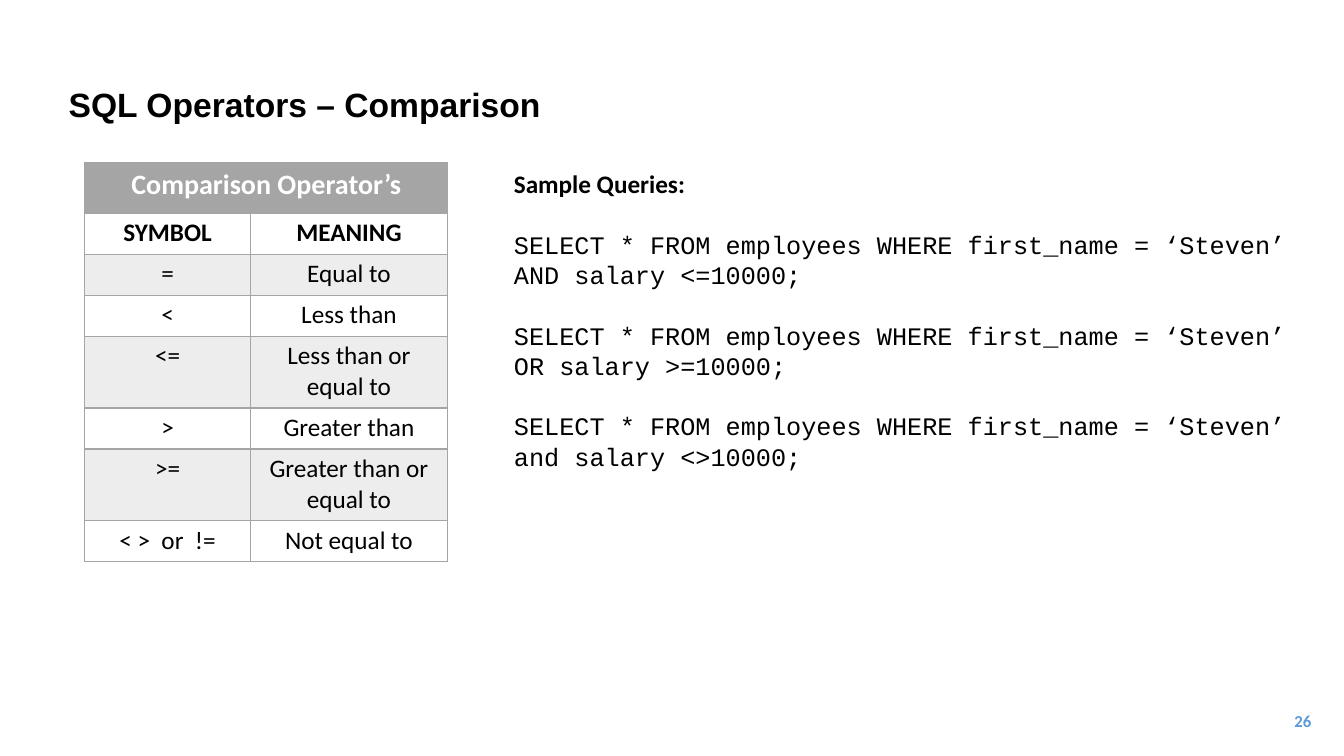
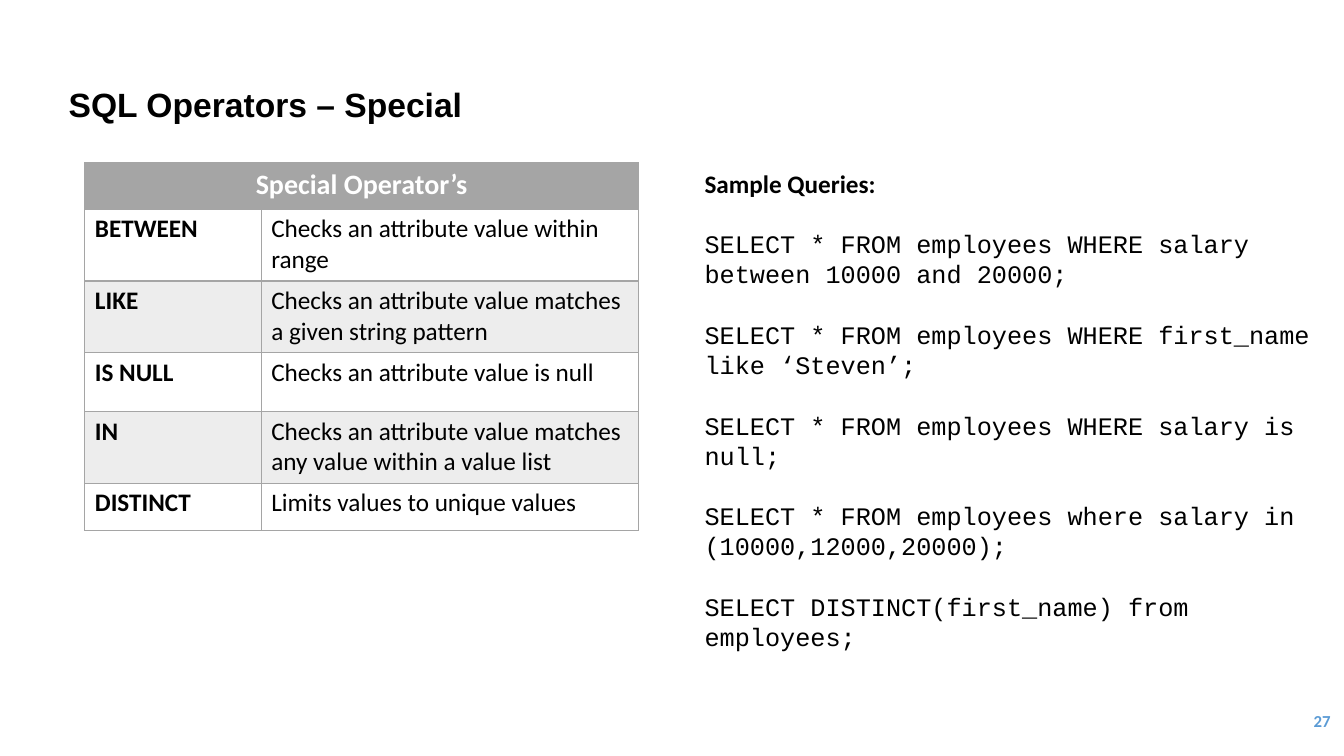
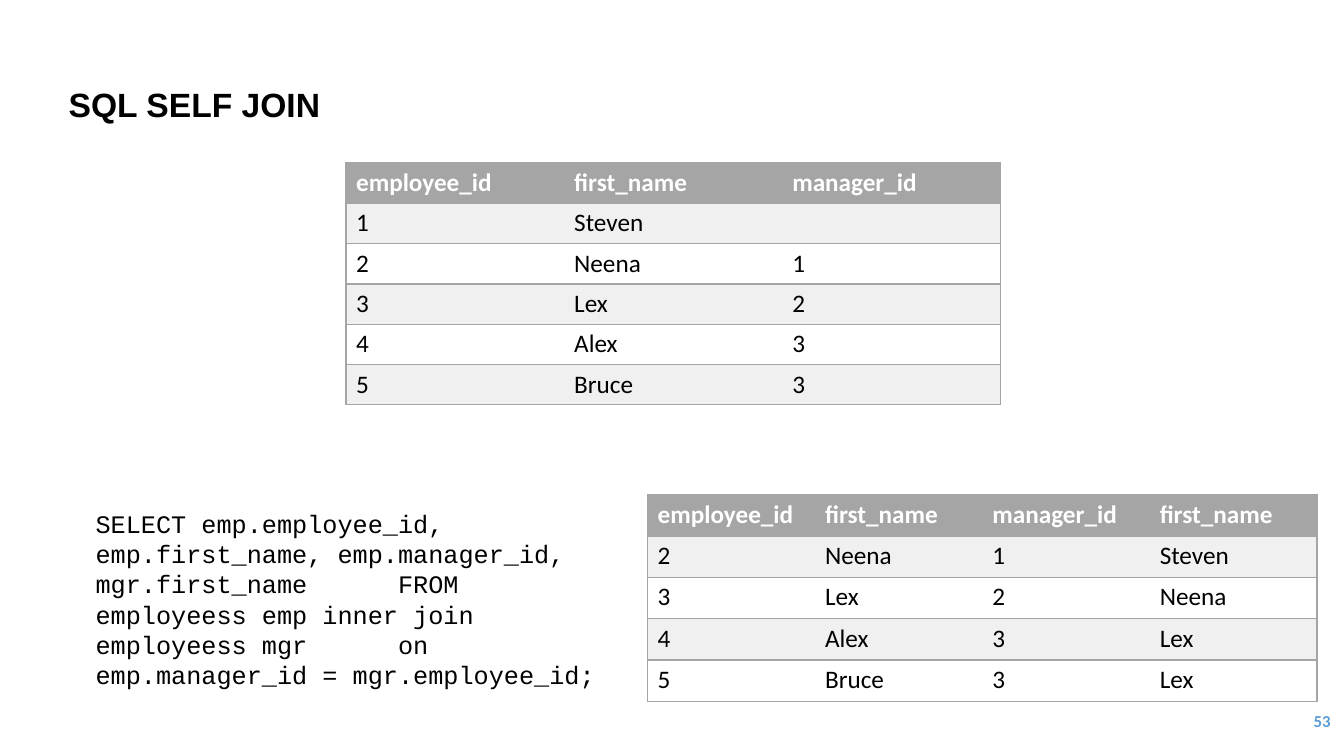
import pptx
import pptx.util
import pptx.dml.color
import pptx.enum.text
import pptx.oxml
import pptx.oxml.ns

COLORS = {"black": "000000", "white": "FFFFFF", "gray": "A5A5A5",
          "band": "EDEDED", "stripe": "F0F0F0", "blue": "5B9BD5"}
FORMATS = {
    "title": {"name": "Arial", "size": 24, "bold": True, "color": "black"},
    "number": {"name": "Calibri", "size": 12, "bold": True, "color": "blue"},
    "banner": {"name": "Calibri", "size": 20, "bold": True, "color": "white"},
    "head": {"name": "Calibri", "size": 18, "bold": True, "color": "white"},
    "strong": {"name": "Calibri", "size": 18, "bold": True, "color": "black"},
    "body": {"name": "Calibri", "size": 18, "bold": False, "color": "black"},
    "code": {"name": "Courier New", "size": 18, "bold": False, "color": "black"},
}
ALIGN = pptx.enum.text.PP_ALIGN
ANCHOR = pptx.enum.text.MSO_ANCHOR
GRID_COLUMNS, GRID_ROWS = 160, 90
CONTENT_LEFT, CONTENT_TOP = 10.1, 19.4
LINE_HEIGHT = 21.6
TABLE_ROW, TWO_LINE_ROW = 4.88, 8.55


class Lesson:
    """Holds the style and the current slide; lengths are grid units."""

    def __init__(self):
        self.deck = pptx.Presentation()
        self.deck.slide_width = pptx.util.Inches(13.33)
        self.deck.slide_height = pptx.util.Inches(7.5)
        self.page = None

    def across(self, columns):
        return round(self.deck.slide_width * columns / GRID_COLUMNS)

    def down(self, rows):
        return round(self.deck.slide_height * rows / GRID_ROWS)

    def frame(self, left, top, width, height):
        return (self.across(left), self.down(top),
                self.across(width), self.down(height))

    def add_span(self, para, text, style, **layout):
        """Put one formatted span into a paragraph."""
        for key, value in layout.items():
            setattr(para, key, value)
        span = para.add_run()
        span.text = text
        values = dict(FORMATS[style])
        color = COLORS[values.pop("color")]
        values["size"] = pptx.util.Pt(values["size"])
        for key, value in values.items():
            setattr(span.font, key, value)
        span.font.color.rgb = pptx.dml.color.RGBColor.from_string(color)

    def text_box(self, place, anchor=ANCHOR.TOP):
        box = self.page.shapes.add_textbox(*self.frame(*place))
        box.text_frame.word_wrap = True
        box.text_frame.vertical_anchor = anchor
        return box.text_frame

    def new_page(self, title, number, number_left=139.6):
        """Start a slide with its title and page number."""
        self.page = self.deck.slides.add_slide(self.deck.slide_layouts[6])
        heading = self.text_box((7, 10.3, 125.3, 4.8), ANCHOR.MIDDLE)
        self.add_span(heading.paragraphs[0], title, "title", line_spacing=0.9)
        corner = self.text_box((number_left, 83.4, 20, 4.8), ANCHOR.MIDDLE)
        self.add_span(corner.paragraphs[0], str(number), "number", alignment=ALIGN.RIGHT)

    def queries(self, place, statements):
        """List SQL statements one line apart under a heading."""
        frame = self.text_box(place)
        self.add_span(frame.paragraphs[0], "Sample Queries:", "strong")
        for statement in statements:
            self.add_span(frame.add_paragraph(), statement, "code",
                          space_before=pptx.util.Pt(LINE_HEIGHT))

    def statement(self, place, text, tab_inches):
        """Show one SQL statement with a tab stop."""
        para = self.text_box(place).paragraphs[0]
        stop = pptx.util.Inches(tab_inches)
        para._p.get_or_add_pPr().append(pptx.oxml.parse_xml(
            f'<a:tabLst {pptx.oxml.ns.nsdecls("a")}>'
            f'<a:tab pos="{stop}" algn="l"/></a:tabLst>'))
        self.add_span(para, text, "code")

    def borders(self, cell, sides):
        """Draw the named sides of a cell and clear the others."""
        for side in "LRTB":
            paint = (f'<a:solidFill><a:srgbClr val="{COLORS["gray"]}"/></a:solidFill>'
                     if side in sides else "<a:noFill/>")
            cell._tc.get_or_add_tcPr().append(pptx.oxml.parse_xml(
                f'<a:ln{side} {pptx.oxml.ns.nsdecls("a")} w="12700">{paint}</a:ln{side}>'))

    def table(self, left, top, widths, heights, rows, style_at, band="band",
              align=ALIGN.LEFT, inner_lines=True):
        """Draw a banded table; style_at names the format of each cell."""
        grid = self.page.shapes.add_table(
            len(rows), len(widths),
            *self.frame(left, top, sum(widths), sum(heights))).table
        grid.first_row = grid.horz_banding = False
        for column, width in zip(grid.columns, widths):
            column.width = self.across(width)
        for row, height in zip(grid.rows, heights):
            row.height = self.down(height)
        for r, texts in enumerate(rows):
            for c, text in enumerate(texts):
                cell, style = grid.cell(r, c), style_at(r, c)
                left_side = "L" if inner_lines or c == 0 else ""
                right_side = "R" if inner_lines or c == len(widths) - 1 else ""
                self.borders(cell, "TB" + left_side + right_side)
                if style in ("head", "banner"):
                    fill = "gray"
                else:
                    fill = band if r % 2 else "white"
                cell.fill.solid()
                cell.fill.fore_color.rgb = pptx.dml.color.RGBColor.from_string(COLORS[fill])
                cell.margin_top = cell.margin_bottom = pptx.util.Inches(0.045)
                if text:
                    self.add_span(cell.text_frame.paragraphs[0], text, style, alignment=align)

    def operators(self, banner, banner_height, widths, heights, rows, style_at, align):
        """Draw an operator table below its banner."""
        self.table(CONTENT_LEFT, CONTENT_TOP + banner_height, widths, heights,
                   rows, style_at, align=align)
        self.table(CONTENT_LEFT, CONTENT_TOP, [sum(widths)], [banner_height],
                   [[banner]], lambda r, c: "banner", align=ALIGN.CENTER)

    def records(self, left, top, width, height, rows):
        """Draw query records with equal columns and rows."""
        columns = len(rows[0])
        self.table(left, top, [width / columns] * columns,
                   [height / len(rows)] * len(rows), rows,
                   lambda r, c: "body" if r else "head",
                   band="stripe", inner_lines=False)


def main():
    lesson = Lesson()

    # Comparison operators
    lesson.new_page("SQL Operators – Comparison", 26, number_left=137.3)
    meanings = [("SYMBOL", "MEANING"), ("=", "Equal to"), ("<", "Less than"),
                ("<=", "Less than or equal to"), (">", "Greater than"),
                (">=", "Greater than or equal to"), ("< >  or  !=", "Not equal to")]
    lesson.operators(
        "Comparison Operator’s", 6, [19.7, 23.5],
        [TWO_LINE_ROW if "or equal" in meaning else TABLE_ROW for _, meaning in meanings],
        meanings, lambda r, c: "body" if r else "strong", ALIGN.CENTER)
    conditions = ["AND salary <=10000;", "OR salary >=10000;", "and salary <>10000;"]
    lesson.queries((60, 19.5, 97.3, 41.2), [
        f"SELECT * FROM employees WHERE first_name = ‘Steven’ {condition}"
        for condition in conditions])

    # Special operators
    lesson.new_page("SQL Operators – Special", 27)
    lesson.operators(
        "Special Operator’s", 5.5, [21, 44.9],
        [TWO_LINE_ROW, TWO_LINE_ROW, 7, TWO_LINE_ROW, 5.64],
        [("BETWEEN", "Checks an attribute value within range"),
         ("LIKE", "Checks an attribute value matches a given string pattern"),
         ("IS NULL", "Checks an attribute value is null"),
         ("IN", "Checks an attribute value matches any value within a value list"),
         ("DISTINCT", "Limits values to unique values")],
        lambda r, c: "body" if c else "strong", ALIGN.LEFT)
    lesson.queries((82.7, CONTENT_TOP, 76.9, 63), [
        "SELECT * FROM employees WHERE salary between 10000 and 20000;",
        "SELECT * FROM employees WHERE first_name like ‘Steven’;",
        "SELECT * FROM employees WHERE salary is null;",
        "SELECT * FROM employees where salary in (10000,12000,20000);",
        "SELECT DISTINCT(first_name) from employees;"])

    # Self join: source records, statement and result
    lesson.new_page("SQL SELF JOIN", 53)
    lesson.statement(
        (10.2, 59.9, 65.1, 23),
        "SELECT emp.employee_id, emp.first_name, emp.manager_id, mgr.first_name\t"
        "FROM employeess emp inner join employeess mgr\t"
        "on emp.manager_id = mgr.employee_id;", tab_inches=3)
    fields = ("employee_id", "first_name", "manager_id")
    employees = [("1", "Steven", ""), ("2", "Neena", "1"), ("3", "Lex", "2"),
                 ("4", "Alex", "3"), ("5", "Bruce", "3")]
    names = {key: name for key, name, _ in employees}
    joined = [(*employee, names[employee[2]]) for employee in employees if employee[2]]
    lesson.records(41.2, CONTENT_TOP, 77.9, 28.8, [fields, *employees])
    lesson.records(77.1, 58.9, 79.7, 24.6, [(*fields, "first_name"), *joined])

    lesson.deck.save("out.pptx")


if __name__ == "__main__":
    main()
